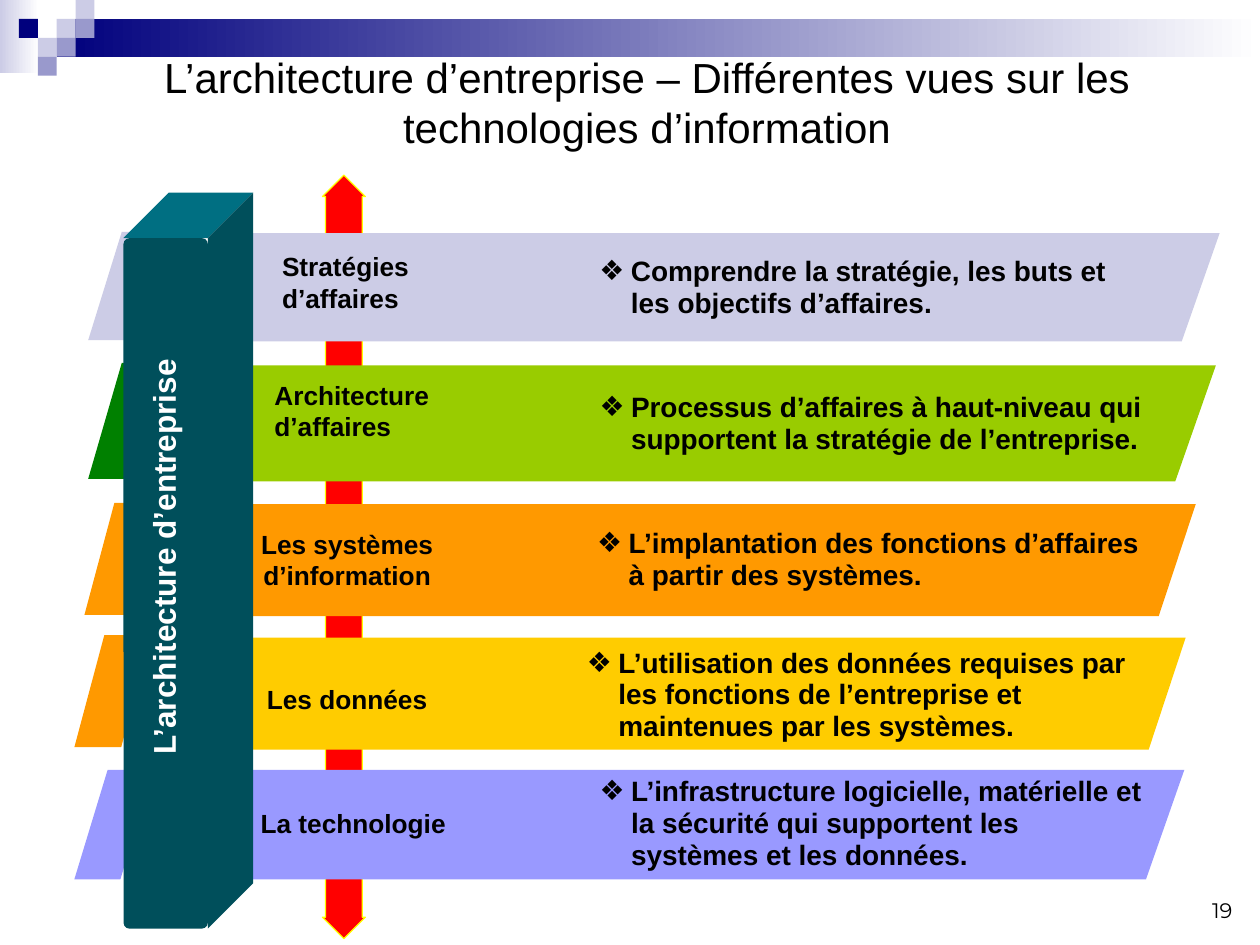
from dataclasses import dataclass
from lxml import etree
from pptx import Presentation
from pptx import util as u
from pptx.dml.color import RGBColor
from pptx.enum import shapes, text
from pptx.oxml.ns import qn


@dataclass(frozen=True)
class Theme:
    font: str = "Arial"
    number_font: str = "Montserrat"
    ink: str = "000000"
    white: str = "FFFFFF"
    navy: str = "00007D"
    pale: str = "CCCCE6"
    mid: str = "9999CC"
    red: str = "FF0000"
    yellow: str = "FFFF00"
    teal: str = "006F82"
    dark_teal: str = "004F5B"
    title: int = 24
    pillar: int = 18
    detail: int = 16
    label: int = 15
    number: int = 12


THEME = Theme()
TITLE = "L’architecture d’entreprise – Différentes vues sur les technologies d’information"
PILLAR = "L’architecture d’entreprise"
NUMBER = "19"

LAYERS = [
    dict(label="Stratégies d’affaires", label_box=(2.14, 1.94, 1.27, 0.6), centred=False,
         detail="Comprendre la stratégie, les buts et les objectifs d’affaires.",
         detail_box=(4.66, 1.98, 4.57, 0.61),
         band=(1.7, 1.85, 7.98, 0.86), slant=0.35, colour="CCCCE6",
         flap=(0.7, 1.84, 0.62, 0.86), flap_slant=0.43, flap_colour="CCCCE6"),
    dict(label="Architecture d’affaires", label_box=(2.08, 2.96, 1.74, 0.6), centred=False,
         detail="Processus d’affaires à haut-niveau qui supportent la stratégie de l’entreprise.",
         detail_box=(4.66, 3.06, 4.75, 0.61),
         band=(1.68, 2.9, 7.97, 0.92), slant=0.35, colour="99CC00",
         flap=(0.7, 2.88, 0.62, 0.92), flap_slant=0.43, flap_colour="008000"),
    dict(label="Les systèmes d’information", label_box=(1.93, 4.14, 1.65, 0.6), centred=True,
         detail="L’implantation des fonctions d’affaires à partir des systèmes.",
         detail_box=(4.64, 4.14, 4.59, 0.61),
         band=(1.7, 4, 7.79, 0.89), slant=0.33, colour="FF9900",
         flap=(0.67, 3.99, 0.61, 0.89), flap_slant=0.39, flap_colour="FF9900"),
    dict(label="Les données", label_box=(1.93, 5.37, 1.65, 0.35), centred=True,
         detail="L’utilisation des données requises par les fonctions de l’entreprise "
                "et maintenues par les systèmes.",
         detail_box=(4.56, 5.09, 4.59, 0.86),
         band=(1.62, 5.06, 7.79, 0.89), slant=0.33, colour="FFCC00",
         flap=(0.59, 5.04, 0.61, 0.89), flap_slant=0.39, flap_colour="FF9900"),
    dict(label="La technologie", label_box=(1.97, 6.36, 1.69, 0.35), centred=False,
         detail="L’infrastructure logicielle, matérielle et la sécurité qui supportent les "
                "systèmes et les données.",
         detail_box=(4.66, 6.11, 4.59, 0.87),
         band=(1.67, 6.11, 7.73, 0.87), slant=0.35, colour="9999FF",
         flap=(0.59, 6.11, 0.63, 0.87), flap_slant=0.42, flap_colour="9999FF"),
]

TILE = 0.15
TILES = [(3, 1, THEME.pale), (4, 0, THEME.pale), (4, 1, THEME.mid), (2, 2, THEME.pale),
         (1, 1, THEME.navy), (3, 2, THEME.mid), (2, 3, THEME.mid)]
GRADIENTS = [((0, 0, 0.31, 0.58), THEME.pale), ((0.45, 0.15, 9.55, 0.3), THEME.navy)]
PILLAR_FRONT = (0.98, 1.89, 0.67, 5.48)
PILLAR_DEPTH = 0.36
PILLAR_TEXT = (1.13, 2.07, 0.37, 4.7)

presentation = Presentation()
presentation.slide_width, presentation.slide_height = u.Inches(10), u.Inches(7.5)
slide = presentation.slides.add_slide(presentation.slide_layouts[5])


def inches(box):
    return [u.Inches(value) for value in box]


def turned(box):
    left, top, width, height = box
    return left + (width - height) / 2, top + (height - width) / 2, height, width


def paint(shape, colour):
    shape.shadow.inherit = False
    shape.fill.solid()
    shape.fill.fore_color.rgb = RGBColor.from_string(colour)
    shape.line.fill.background()


def add_block(kind, box, colour, adjustments=()):
    shape = slide.shapes.add_shape(kind, *inches(box))
    paint(shape, colour)
    for index, value in enumerate(adjustments):
        shape.adjustments[index] = value
    return shape


def add_face(points, colour):
    builder = slide.shapes.build_freeform(*inches(points[0]), scale=1.0)
    builder.add_line_segments([inches(point) for point in points[1:]], close=True)
    paint(builder.convert_to_shape(), colour)


def write(shape, content, size, colour=THEME.ink, bold=True, font=THEME.font,
          align=text.PP_ALIGN.LEFT):
    frame = shape.text_frame
    frame.word_wrap = True
    frame.text = content
    paragraph = frame.paragraphs[0]
    paragraph.alignment = align
    style = paragraph.runs[0].font
    style.name, style.size, style.bold = font, u.Pt(size), bold
    style.color.rgb = RGBColor.from_string(colour)
    return paragraph


def add_text(box, content, size, **style):
    shape = slide.shapes.add_textbox(*inches(box))
    return shape, write(shape, content, size, **style)


def add_bullet(paragraph, symbol, indent):
    properties = paragraph._p.get_or_add_pPr()
    properties.set("marL", str(u.Inches(indent)))
    properties.set("indent", str(-u.Inches(indent)))
    etree.SubElement(properties, qn("a:buFont")).set("typeface", THEME.font)
    etree.SubElement(properties, qn("a:buChar")).set("char", symbol)


def add_header():
    for box, colour in GRADIENTS:
        shape = add_block(shapes.MSO_SHAPE.RECTANGLE, box, colour)
        shape.fill.gradient()
        shape.fill.gradient_angle = 0
        for stop, shade in zip(shape.fill.gradient_stops, (colour, THEME.white)):
            stop.color.rgb = RGBColor.from_string(shade)
    for column, row, colour in TILES:
        add_block(shapes.MSO_SHAPE.RECTANGLE, (column * TILE, row * TILE, TILE, TILE), colour)
    title = slide.shapes.title
    title.left, title.top, title.width, title.height = inches((0.43, 0.23, 9.41, 1.15))
    write(title, TITLE, THEME.title, bold=False, align=text.PP_ALIGN.CENTER)
    title.text_frame.auto_size = text.MSO_AUTO_SIZE.NONE
    title.text_frame.vertical_anchor = text.MSO_ANCHOR.MIDDLE
    slide.shapes._spTree.append(title._element)


def add_layers():
    arrow = add_block(shapes.MSO_SHAPE.UP_DOWN_ARROW, (2.56, 1.39, 0.34, 6.06),
                      THEME.red, (0.5, 0.86))
    arrow.line.color.rgb = RGBColor.from_string(THEME.yellow)
    arrow.line.width = u.Pt(0.75)
    for layer in LAYERS:
        for part, slant, colour in (("flap", "flap_slant", "flap_colour"),
                                    ("band", "slant", "colour")):
            add_block(shapes.MSO_SHAPE.PARALLELOGRAM, layer[part], layer[colour], [layer[slant]])
        align = text.PP_ALIGN.CENTER if layer["centred"] else text.PP_ALIGN.LEFT
        label, _ = add_text(layer["label_box"], layer["label"], THEME.label, align=align)
        detail, paragraph = add_text(layer["detail_box"], layer["detail"], THEME.detail)
        paragraph.line_spacing = 0.95
        add_bullet(paragraph, "❖", 0.25)
        for shape in (label, detail):
            shape.text_frame.auto_size = text.MSO_AUTO_SIZE.SHAPE_TO_FIT_TEXT


def add_pillar():
    left, top, width, height = PILLAR_FRONT
    right, bottom, depth = left + width, top + height, PILLAR_DEPTH
    add_face([(left, top), (left + depth, top - depth), (right + depth, top - depth),
              (right, top)], THEME.teal)
    add_face([(right, top), (right + depth, top - depth), (right + depth, bottom - depth),
              (right, bottom)], THEME.dark_teal)
    front = add_block(shapes.MSO_SHAPE.ROUNDED_RECTANGLE, turned(PILLAR_FRONT),
                      THEME.dark_teal, [0.07])
    front.rotation = 90
    caption, paragraph = add_text(turned(PILLAR_TEXT), PILLAR, THEME.pillar,
                                  colour=THEME.white, align=text.PP_ALIGN.CENTER)
    paragraph.line_spacing = 0.9
    caption.rotation = 270


add_header()
add_layers()
add_pillar()
number, _ = add_text((7.55, 6.87, 2.33, 0.5), NUMBER, THEME.number, bold=False,
                     font=THEME.number_font, align=text.PP_ALIGN.RIGHT)
number.text_frame.vertical_anchor = text.MSO_ANCHOR.BOTTOM
presentation.save("out.pptx")
